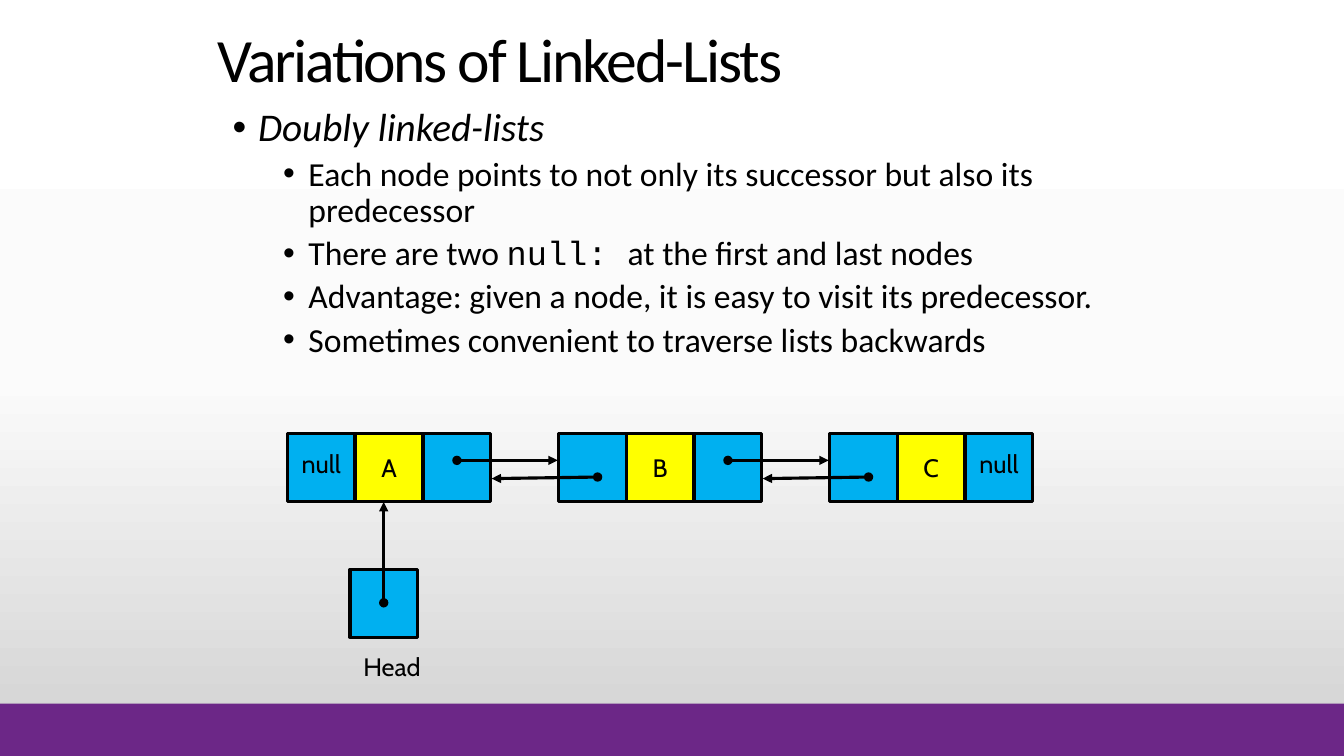
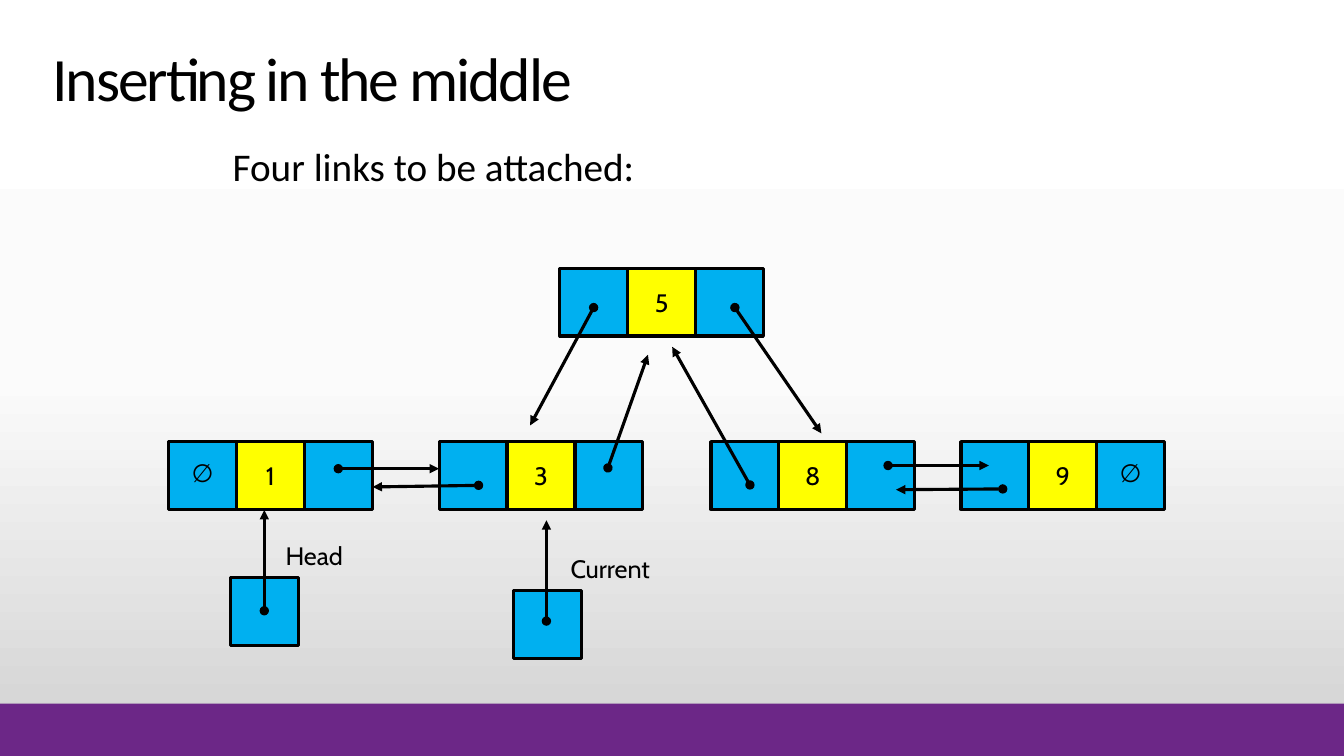
from copy import deepcopy

from lxml import etree
from pptx import Presentation
from pptx.dml.color import RGBColor
from pptx.enum.shapes import MSO_CONNECTOR, MSO_SHAPE
from pptx.enum.text import MSO_ANCHOR, MSO_AUTO_SIZE, PP_ALIGN
from pptx.oxml.ns import qn
from pptx.util import Cm, Pt

RECT = MSO_SHAPE.RECTANGLE
LINE = MSO_CONNECTOR.STRAIGHT
LEFT, MID = PP_ALIGN.LEFT, PP_ALIGN.CENTER
TOP, CENTER, BOTTOM = MSO_ANCHOR.TOP, MSO_ANCHOR.MIDDLE, MSO_ANCHOR.BOTTOM
FIXED = MSO_AUTO_SIZE.NONE

BLACK, BLUE, YELLOW, PURPLE = "000000", "00B0F0", "FFFF00", "6C2787"
FADE = [(0, "FFFFFF"), (0.5, "FBFBFB"), (1, "D1D1D1")]
SIDE = 1.71
STROKE = Pt(2.25)
LIFT = Cm(0.18)

TITLE = {"name": "Calibri", "size": Pt(44)}
LABEL = {"name": "Cabin", "size": Pt(18)}
LEVELS = [
    {"size": Pt(28), "gap": Pt(10), "inset": 0.64},
    {"size": Pt(24), "gap": Pt(5), "inset": 1.91},
]
TIGHT = {"margin_left": 0, "margin_right": 0, "margin_top": 0,
         "margin_bottom": 0, "word_wrap": False, "vertical_anchor": CENTER}

POINTS = [
    (0, [("Doubly linked-lists", "Calibri")]),
    (1, [("Each node points to not only its successor but also its predecessor", "Calibri")]),
    (1, [("There are two ", "Calibri"), ("null: ", "Courier New"),
         ("at the first and last nodes", "Calibri")]),
    (1, [("Advantage: given a node, it is easy to visit its predecessor.", "Calibri")]),
    (1, [("Sometimes convenient to traverse lists backwards", "Calibri")]),
]


def rgb(code):
    return RGBColor.from_string(code)


def apply(item, values):
    for key, value in values.items():
        setattr(item, key, value)


def box(area):
    return dict(zip(("left", "top", "width", "height"), map(Cm, area)))


def write(par, text, style):
    run = par.add_run()
    run.text = text
    apply(run.font, style)
    run.font.color.rgb = rgb(BLACK)
    return run


def block(slide, area, fill):
    shape = slide.shapes.add_shape(RECT, *map(Cm, area))
    shape.shadow.inherit = False
    shape.fill.solid()
    shape.fill.fore_color.rgb = rgb(fill)
    shape.line.fill.background()
    return shape


def theme(deck, slide):
    master = deck.slide_master
    fill = master.background.fill
    fill.gradient()
    fill.gradient_angle = 270
    stops = master.element.xpath(".//p:bg//a:gsLst")[0]
    stops.append(deepcopy(stops[-1]))
    for stop, (place, code) in zip(fill.gradient_stops, FADE):
        stop.position = place
        stop.color.rgb = rgb(code)
    band = block(slide, (0, 17.73, 33.87, 1.32), PURPLE)
    master.element.cSld.spTree.insert(2, band.element)


def title(slide, text, area):
    shape = slide.shapes.title
    apply(shape, box(area))
    apply(shape.text_frame, {"vertical_anchor": BOTTOM, "auto_size": FIXED, "word_wrap": True})
    par = shape.text_frame.paragraphs[0]
    apply(par, {"alignment": LEFT, "line_spacing": 0.9})
    run = write(par, text, TITLE)
    run.font._element.set("spc", "-150")


def bullet(par, inset, mark):
    props = par._p.get_or_add_pPr()
    props.set("marL", str(Cm(inset)))
    props.set("indent", str(-Cm(0.64)))
    if mark:
        etree.SubElement(props, qn("a:buFont")).set("typeface", "Arial")
        etree.SubElement(props, qn("a:buChar")).set("char", "•")
    else:
        etree.SubElement(props, qn("a:buNone"))


def body(slide, items, area, mark=True):
    shape = slide.placeholders[1]
    apply(shape, box(area))
    frame = shape.text_frame
    apply(frame, {"vertical_anchor": TOP, "auto_size": FIXED, "word_wrap": True})
    for num, (level, runs) in enumerate(items):
        par = frame.add_paragraph() if num else frame.paragraphs[0]
        look = LEVELS[level]
        apply(par, {"level": level, "alignment": LEFT, "line_spacing": 0.9,
                    "space_before": look["gap"]})
        bullet(par, look["inset"], mark)
        for text, font in runs:
            write(par, text, {"name": font, "size": look["size"],
                              "italic": mark and level == 0})


def cell(slide, x, y, fill=BLUE, text="", lift=0):
    shape = block(slide, (x, y, SIDE, SIDE), fill)
    shape.line.color.rgb = rgb(BLACK)
    shape.line.width = STROKE
    if text:
        apply(shape.text_frame, {**TIGHT, "margin_bottom": lift})
        par = shape.text_frame.paragraphs[0]
        par.alignment = MID
        write(par, text, LABEL)


def node(slide, x, y, value, prev="", succ=""):
    cell(slide, x, y, BLUE, prev, LIFT)
    cell(slide, x + 2 * SIDE, y, BLUE, succ, LIFT)
    cell(slide, x + SIDE, y, YELLOW, value)


def arrow(slide, *ends):
    link = slide.shapes.add_connector(LINE, *map(Cm, ends))
    link.line.color.rgb = rgb(BLACK)
    link.line.width = STROKE
    line = link.element.xpath(".//a:ln")[0]
    for tag, kind in (("a:headEnd", "oval"), ("a:tailEnd", "triangle")):
        etree.SubElement(line, qn(tag)).set("type", kind)
    etree.SubElement(link.element.spPr, qn("a:effectLst"))


def pair(slide, left, right, y):
    start, back = left + 2.5 * SIDE, right + 0.99
    arrow(slide, start, y + 0.68, start + 2.54, y + 0.68)
    arrow(slide, back, y + 1.1, back - 2.67, y + 1.14)


def label(slide, text, area):
    frame = slide.shapes.add_textbox(*map(Cm, area)).text_frame
    apply(frame, TIGHT)
    par = frame.paragraphs[0]
    par.alignment = MID
    write(par, text, LABEL)


def pointer(slide, spot, root, text, area):
    cell(slide, *spot)
    x, y = root
    arrow(slide, x, y, x, y - 2.54)
    label(slide, text, area)


def doubly(slide):
    title(slide, "Variations of Linked-Lists", (5.23, 0.53, 20.52, 2.01))
    body(slide, POINTS, (5.61, 2.59, 22.66, 9.14))
    y = 10.92
    spots = [7.24 + 6.83 * num for num in range(3)]
    ends = [("A", "null", ""), ("B", "", ""), ("C", "", "null")]
    for x, texts in zip(spots, ends):
        node(slide, x, y, *texts)
    for left, right in zip(spots, spots[1:]):
        pair(slide, left, right, y)
    pointer(slide, (8.82, 14.35), (9.67, 15.19), "Head", (8.89, 16.28, 1.98, 1.02))


def insert(slide):
    title(slide, "Inserting in the middle", (1.07, 0.81, 26.04, 2.21))
    body(slide, [(0, [("Four links to be attached:", "Calibri")])],
         (5.61, 3.58, 22.66, 2.18), mark=False)
    y = 11.13
    for x, top, *texts in [
        (4.25, y, "1", "∅"), (11.07, y, "3"), (17.92, y, "8"),
        (24.22, y, "9", "", "∅"), (14.11, 6.76, "5"),
    ]:
        node(slide, x, top, *texts)
    pair(slide, 4.25, 11.07, y)
    for ends in [
        (22.38, 11.73, 24.92, 11.73), (25.27, 12.32, 22.58, 12.34),
        (18.9, 12.22, 16.94, 8.74), (15.32, 11.79, 16.33, 8.94),
        (18.52, 7.75, 20.7, 10.92), (14.96, 7.75, 13.36, 10.72),
    ]:
        arrow(slide, *ends)
    pointer(slide, (5.82, 14.55), (6.66, 15.39), "Head", (6.93, 13.49, 1.98, 1.02))
    pointer(slide, (12.95, 14.88), (13.77, 15.65), "Current", (14.07, 13.82, 2.62, 1.02))


def main():
    deck = Presentation()
    apply(deck, {"slide_width": Cm(33.87), "slide_height": Cm(19.05)})
    first, second = [deck.slides.add_slide(deck.slide_layouts[1]) for _ in range(2)]
    theme(deck, first)
    doubly(first)
    insert(second)
    deck.save("out.pptx")


if __name__ == "__main__":
    main()
